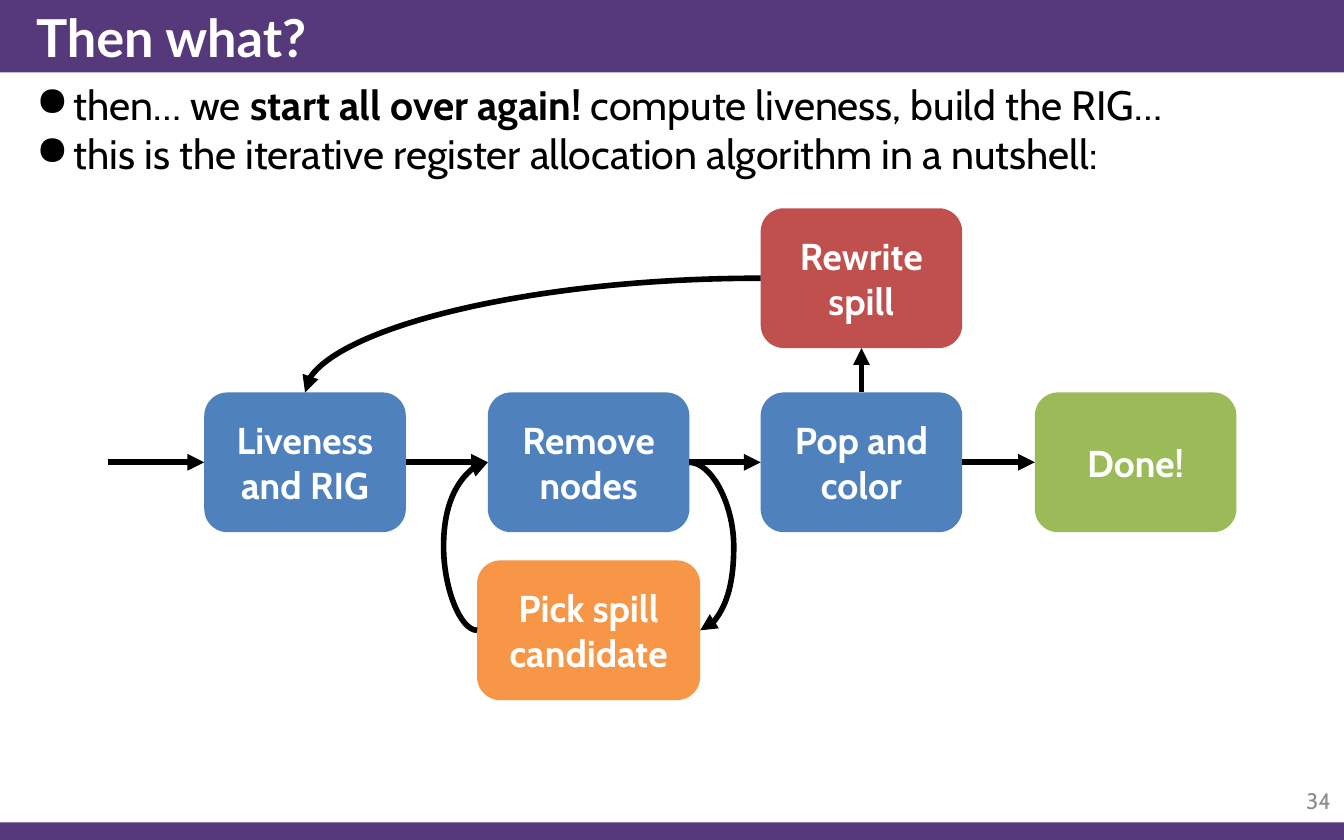
from pptx import Presentation
from pptx.dml.color import RGBColor
from pptx.enum.shapes import MSO_CONNECTOR, MSO_SHAPE
from pptx.enum.text import MSO_ANCHOR, PP_ALIGN
from pptx.oxml.ns import qn
from pptx.util import Inches, Pt
from lxml.etree import SubElement

PURPLE = RGBColor(0x56, 0x39, 0x7B)
BLUE = RGBColor(0x4F, 0x81, 0xBD)
ORANGE = RGBColor(0xF7, 0x96, 0x46)
RED = RGBColor(0xC0, 0x50, 0x4D)
GREEN = RGBColor(0x9B, 0xBB, 0x59)
GRAY = RGBColor(0x8C, 0x8C, 0x8C)
BLACK = RGBColor(0, 0, 0)
WHITE = RGBColor(0xFF, 0xFF, 0xFF)

WIDTH, HEIGHT = 10, 6.25
BAR_H = 0.54
TOP, LEFT, BOTTOM, RIGHT = range(4)


def write(tf, text, size=20, font="Cabin", color=BLACK, bold=False,
          align=PP_ALIGN.LEFT, anchor=MSO_ANCHOR.MIDDLE, bullet=None):
    """Fill a frame: lines become paragraphs, and **marks** switch bold."""
    tf.word_wrap = True
    tf.vertical_anchor = anchor
    for i, line in enumerate(text.split("\n")):
        p = tf.add_paragraph() if i else tf.paragraphs[0]
        p.alignment = align
        if bullet:
            pPr = p._p.get_or_add_pPr()
            pPr.set("marL", str(Inches(0.28)))
            pPr.set("indent", str(-Inches(0.28)))
            SubElement(pPr, qn("a:buChar")).set("char", bullet)
        for j, part in enumerate(line.split("**")):
            r = p.add_run()
            r.text = part
            r.font.name = font
            r.font.size = Pt(size)
            r.font.bold = bold or j % 2 == 1
            r.font.color.rgb = color


def add_block(s, kind, box, fill):
    sp = s.shapes.add_shape(kind, *map(Inches, box))
    sp.shadow.inherit = False
    sp.fill.solid()
    sp.fill.fore_color.rgb = fill
    sp.line.fill.background()
    return sp


def add_label(s, box, text, **fmt):
    tb = s.shapes.add_textbox(*map(Inches, box))
    write(tb.text_frame, text, **fmt)


def add_arrow(s, start, end, kind=MSO_CONNECTOR.STRAIGHT):
    cx = s.shapes.add_connector(kind, *map(Inches, (*start, *end)))
    cx.line.color.rgb = BLACK
    cx.line.width = Pt(3)
    SubElement(cx.line._get_or_add_ln(), qn("a:tailEnd")).set("type", "triangle")
    SubElement(cx._element.spPr, qn("a:effectLst"))
    return cx


def add_curve(s, start, end, bulge=None):
    """Draw a quarter curve, or a loop that swings sideways by bulge."""
    cx = add_arrow(s, start, end, MSO_CONNECTOR.CURVE)
    geom = cx._element.spPr.find(qn("a:prstGeom"))
    if bulge is None:
        geom.set("prst", "curvedConnector2")
        return
    guides = geom.find(qn("a:avLst"))
    if guides is None:
        guides = SubElement(geom, qn("a:avLst"))
    guide = SubElement(guides, qn("a:gd"))
    guide.set("name", "adj1")
    guide.set("fmla", f"val {round(bulge / (end[0] - start[0]) * 100000)}")


def join(s, first, first_side, second, second_side):
    cx = add_arrow(s, (0, 0), (0, 0))
    cx.begin_connect(first, first_side)
    cx.end_connect(second, second_side)


def add_title_bar(s, box):
    x, y, w, h = box
    add_block(s, MSO_SHAPE.RECTANGLE, box, PURPLE)
    add_label(s, (x + 0.17, y, w - 0.17, h), "Then what?",
              size=28, font="Lato", color=WHITE, bold=True)


def add_footer(s, box):
    x, y, w, h = box
    add_block(s, MSO_SHAPE.RECTANGLE, box, PURPLE)
    add_label(s, (x + w - 0.75, y - 0.33, 0.75, 0.33), "34",
              size=12, color=GRAY, align=PP_ALIGN.RIGHT)


def add_bullets(s, box):
    add_label(s, box,
              "then… we **start all over again! **compute liveness, build the RIG…\n"
              "this is the iterative register allocation algorithm in a nutshell:",
              size=22, anchor=MSO_ANCHOR.TOP, bullet="●")


def add_flowchart(s, box):
    x, y, w, h = box
    step_w, step_h = 1.5, 1.04
    row_y = y + 1.37
    mid_y = row_y + step_h / 2
    spill_y = y + h - step_h
    live_x, remove_x, pop_x = x + 0.72, x + 2.83, x + 4.86
    pick_x, pick_w = remove_x - 0.08, step_w + 0.16

    def add_step(text, left, top, fill, width=step_w):
        sp = add_block(s, MSO_SHAPE.ROUNDED_RECTANGLE,
                       (left, top, width, step_h), fill)
        write(sp.text_frame, text, color=WHITE, bold=True,
              align=PP_ALIGN.CENTER)
        return sp

    liveness = add_step("Liveness and RIG", live_x, row_y, BLUE)
    remove = add_step("Remove nodes", remove_x, row_y, BLUE)
    pop = add_step("Pop and color", pop_x, row_y, BLUE)
    add_step("Pick spill candidate", pick_x, spill_y, ORANGE, pick_w)
    rewrite = add_step("Rewrite spill", pop_x, y, RED)
    done = add_step("Done!", x + w - step_w, row_y, GREEN)

    steps = (liveness, remove, pop, done)
    for first, second in zip(steps, steps[1:]):
        join(s, first, RIGHT, second, LEFT)
    join(s, pop, TOP, rewrite, BOTTOM)
    entry = add_arrow(s, (x, mid_y), (live_x, mid_y))
    entry.end_connect(liveness, LEFT)

    spill_mid = spill_y + step_h / 2
    add_curve(s, (pop_x, y + step_h / 2), (live_x + step_w / 2, row_y))
    add_curve(s, (remove_x + step_w, mid_y), (pick_x + pick_w, spill_mid), 0.33)
    add_curve(s, (pick_x, spill_mid), (remove_x, mid_y), -0.25)


def main():
    prs = Presentation()
    prs.slide_width, prs.slide_height = Inches(WIDTH), Inches(HEIGHT)
    s = prs.slides.add_slide(prs.slide_layouts[6])
    add_footer(s, (0, HEIGHT - 0.13, WIDTH, 0.13))
    add_title_bar(s, (0, 0, WIDTH, BAR_H))
    add_bullets(s, (0.17, BAR_H, WIDTH - 0.17, 0.92))
    add_flowchart(s, (0.8, 1.55, 8.4, 3.66))
    prs.save("out.pptx")


if __name__ == "__main__":
    main()
